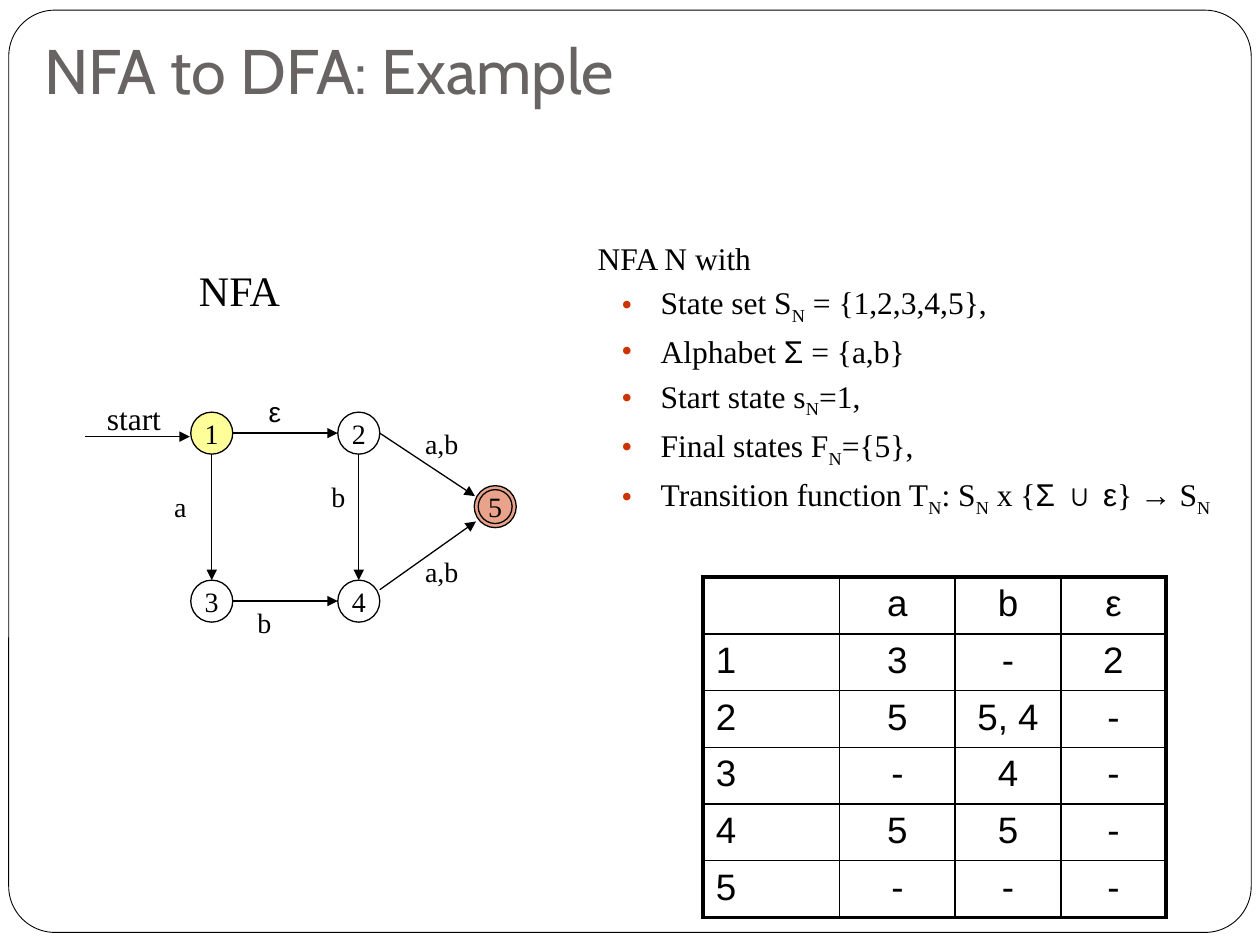
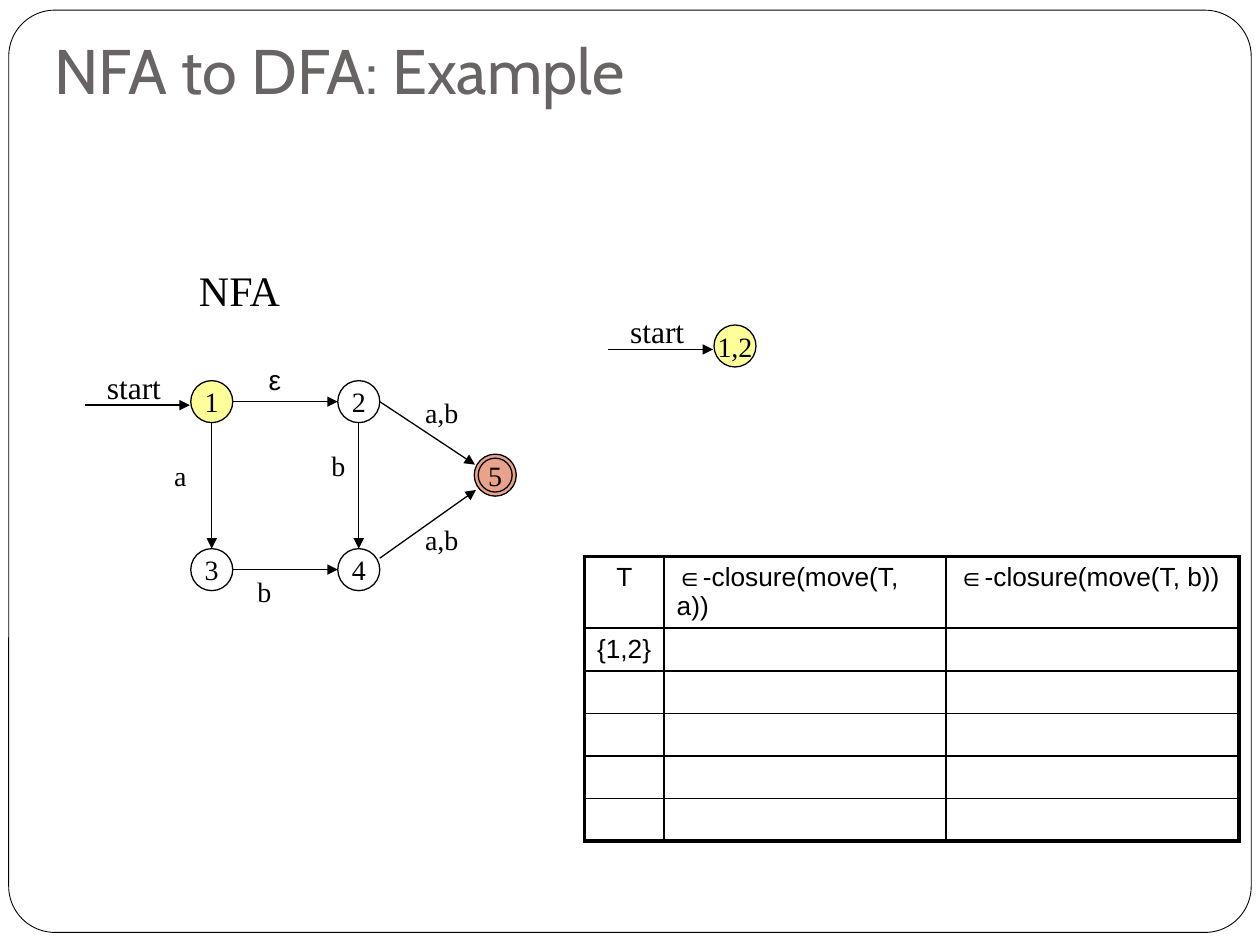
from dataclasses import dataclass

from lxml.etree import SubElement
from pptx import Presentation
from pptx.dml.color import RGBColor
from pptx.enum.shapes import MSO_CONNECTOR, MSO_SHAPE
from pptx.enum.text import MSO_ANCHOR, MSO_AUTO_SIZE, PP_ALIGN
from pptx.oxml.ns import qn
from pptx.util import Pt


@dataclass(frozen=True)
class Theme:
    # Colours
    ink = RGBColor.from_string("000000")
    paper = RGBColor.from_string("FFFFFF")
    title = RGBColor.from_string("696464")
    start = RGBColor.from_string("FFFF99")
    final = RGBColor.from_string("D34817")
    bullet = "CC3300"
    # Fonts and type sizes
    title_font, serif, sans = "Cabin", "Times New Roman", "Arial"
    title_size, heading_size, body_size, label_size = 36, 24, 18, 16
    # Line widths
    frame_line, thin, grid, outer = 0.5, 0.75, 1, 2.25


DIAMETER = 24
RING = 19.4
INSETS = dict(margin_left=Pt(7.2), margin_top=Pt(3.6),
              margin_right=Pt(7.2), margin_bottom=Pt(3.6))


def apply(obj, formats):
    for name, value in formats.items():
        setattr(obj, name, value)


class Deck:
    """Holds the theme, the current slide and the shapes being drawn on."""

    def __init__(self, theme):
        self.theme = theme
        self.prs = Presentation()
        apply(self.prs, dict(slide_width=Pt(720), slide_height=Pt(540)))

    def slide(self, layout, title, title_left):
        self.s = self.prs.slides.add_slide(self.prs.slide_layouts[layout])
        self.shapes = self.s.shapes
        self.frame()
        sp = self.s.shapes.title
        self.place(sp, title_left, 18, 677, 50.4)
        tf = sp.text_frame
        apply(tf, INSETS | dict(margin_bottom=Pt(7.2), word_wrap=True,
                                auto_size=MSO_AUTO_SIZE.NONE,
                                vertical_anchor=MSO_ANCHOR.BOTTOM))
        p = tf.paragraphs[0]
        p.alignment = PP_ALIGN.LEFT
        self.run(p, title, self.theme.title_size, self.theme.title_font, self.theme.title)

    def place(self, sp, x, y, w, h):
        apply(sp, dict(left=Pt(x), top=Pt(y), width=Pt(w), height=Pt(h)))

    def run(self, p, text, size, font=None, color=None):
        r = p.add_run()
        r.text = text
        apply(r.font, dict(size=Pt(size), name=font or self.theme.serif))
        r.font.color.rgb = color or self.theme.ink
        return r

    def shape(self, kind, x, y, w, h, fill=None, line=None):
        sp = self.shapes.add_shape(kind, Pt(x), Pt(y), Pt(w), Pt(h))
        sp.shadow.inherit = False
        if fill is None:
            sp.fill.background()
        else:
            sp.fill.solid()
            sp.fill.fore_color.rgb = fill
        sp.line.color.rgb = self.theme.ink
        sp.line.width = Pt(line or self.theme.thin)
        return sp

    def frame(self):
        sp = self.shape(MSO_SHAPE.ROUNDED_RECTANGLE, 5, 5.8, 710, 527,
                        self.theme.paper, self.theme.frame_line)
        sp.adjustments[0] = 0.05
        sp.element.getparent().insert(2, sp.element)  # behind the placeholders

    def group(self):
        self.shapes = self.s.shapes.add_group_shape().shapes

    def ungroup(self):
        self.shapes = self.s.shapes

    def text(self, text, x, y, w, h, size, font=None, align=PP_ALIGN.LEFT):
        tf = self.shapes.add_textbox(Pt(x), Pt(y), Pt(w), Pt(h)).text_frame
        apply(tf, dict(word_wrap=False, auto_size=MSO_AUTO_SIZE.SHAPE_TO_FIT_TEXT))
        p = tf.paragraphs[0]
        p.alignment = align
        self.run(p, text, size, font)

    def edge_label(self, text, cx, y):
        w = 34 if len(text) > 1 else 22
        font = self.theme.sans if text == "ε" else None
        self.text(text, cx - w / 2, y, w, 26.6, self.theme.label_size, font, PP_ALIGN.CENTER)

    def circle(self, cx, cy, d, fill=None):
        return self.shape(MSO_SHAPE.OVAL, cx - d / 2, cy - d / 2, d, d, fill)

    def state(self, name, cx, cy, fill, final=False):
        sp = self.circle(cx, cy, DIAMETER, fill)
        if final:
            color = sp.element.spPr.find(qn("a:solidFill"))[0]
            SubElement(color, qn("a:alpha"), val="50000")
            self.circle(cx, cy, RING)
        tf = sp.text_frame
        apply(tf, dict(word_wrap=False, vertical_anchor=MSO_ANCHOR.MIDDLE))
        p = tf.paragraphs[0]
        p.alignment = PP_ALIGN.CENTER
        self.run(p, name, self.theme.label_size)

    def arrow(self, x1, y1, x2, y2):
        c = self.shapes.add_connector(MSO_CONNECTOR.STRAIGHT, Pt(x1), Pt(y1), Pt(x2), Pt(y2))
        c.line.color.rgb = self.theme.ink
        c.line.width = Pt(self.theme.thin)
        SubElement(c.line._get_or_add_ln(), qn("a:tailEnd"), type="triangle")
        SubElement(c.element.spPr, qn("a:effectLst"))

    def start_arrow(self, cx, cy):
        self.arrow(cx - 72.5, cy + 2, cx - 12.5, cy + 2)
        self.text("start", cx - 67, cy - 23, 50, 29, self.theme.body_size)

    def bullets(self, heading, items, x, y, w, h):
        sp = self.s.placeholders[1]
        self.place(sp, x, y, w, h)
        tf = sp.text_frame
        apply(tf, INSETS | dict(word_wrap=True, auto_size=MSO_AUTO_SIZE.NONE,
                                vertical_anchor=MSO_ANCHOR.TOP))
        for i, segments in enumerate([(heading,), *items]):
            p = tf.add_paragraph() if i else tf.paragraphs[0]
            apply(p, dict(level=min(i, 1), space_before=Pt(3.6 if i else 0),
                          alignment=PP_ALIGN.LEFT))
            pPr = p._p.get_or_add_pPr()
            pPr.set("marL", str(Pt(40.5 if i else 4.5)))
            pPr.set("indent", str(Pt(-22.5 if i else 0)))
            if i:
                SubElement(SubElement(pPr, qn("a:buClr")), qn("a:srgbClr"), val=self.theme.bullet)
                SubElement(pPr, qn("a:buFont"), typeface=self.theme.serif)
                SubElement(pPr, qn("a:buChar"), char="•")
            else:
                SubElement(pPr, qn("a:buNone"))
            for segment in segments:  # a leading underscore marks a subscript
                font = self.theme.sans if segment[0] in "Σε" else None
                r = self.run(p, segment.removeprefix("_"), self.theme.body_size, font)
                if segment.startswith("_"):
                    r._r.get_or_add_rPr().set("baseline", "-25000")

    def table(self, rows, x, y, widths, heights, size, centred):
        table = self.shapes.add_table(len(rows), len(widths), Pt(x), Pt(y),
                                      Pt(sum(widths)), Pt(sum(heights))).table
        apply(table, dict(first_row=False, horz_banding=False))
        for column, width in zip(table.columns, widths):
            column.width = Pt(width)
        for row, height in zip(table.rows, heights):
            row.height = Pt(height)
        for i, row in enumerate(rows):
            for j, text in enumerate(row):
                cell = table.cell(i, j)
                apply(cell, INSETS)
                edges = dict(L=j == 0, R=j == len(widths) - 1,
                             T=i == 0, B=i == len(rows) - 1)
                self.borders(cell, edges)
                cell.fill.background()
                p = cell.text_frame.paragraphs[0]
                p.alignment = PP_ALIGN.CENTER if centred(i, j) else PP_ALIGN.LEFT
                if text:
                    self.run(p, text, size, self.theme.sans)
                else:
                    SubElement(p._p, qn("a:endParaRPr"), sz="1400")

    def borders(self, cell, edges):
        tcPr = cell._tc.get_or_add_tcPr()
        for side, is_outer in edges.items():
            width = self.theme.outer if is_outer else self.theme.grid
            ln = SubElement(tcPr, qn(f"a:ln{side}"), w=str(Pt(width)))
            SubElement(SubElement(ln, qn("a:solidFill")), qn("a:srgbClr"),
                       val=str(self.theme.ink))


def draw_nfa(deck, y):
    """Draws the automaton with its first row of states centred at height y."""
    t = deck.theme
    deck.text("NFA", 106.6, 147.6, 62.6, 36, t.heading_size)
    deck.group()
    left, middle, right = 121, 205, 283
    bottom, radius = y + 96, DIAMETER / 2

    # States
    for name, cx, cy, fill in [("1", left, y, t.start), ("2", middle, y, t.paper),
                               ("3", left, bottom, t.paper), ("4", middle, bottom, t.paper),
                               ("5", right, y + 42, t.final)]:
        deck.state(name, cx, cy, fill, final=name == "5")

    # Transitions
    for cy in (y, bottom):
        deck.arrow(left + radius, cy, middle - radius, cy)
    for cx in (left, middle):
        deck.arrow(cx, y + radius, cx, bottom - radius)
    deck.arrow(middle + radius, y, 271.4, y + 36)
    deck.arrow(middle + radius, y + 89.5, 272, y + 50.5)
    for text, cx, dy in [("ε", 157, -25.7), ("b", 151, 95.2), ("a", 103, 29),
                         ("b", 193.3, 23.2), ("a,b", 252.4, -7), ("a,b", 252.4, 65.7)]:
        deck.edge_label(text, cx, y + dy)
    deck.start_arrow(left, y)
    deck.ungroup()


def main():
    deck = Deck(Theme())
    title = "NFA to DFA: Example"

    # Slide 1: the automaton and its transition table
    deck.slide(1, title, 18)
    deck.bullets("NFA N with", [
        ("State set S", "_N", " = {1,2,3,4,5},"),
        ("Alphabet ", "Σ", " = {a,b}"),
        ("Start state s", "_N", "=1,"),
        ("Final states F", "_N", "={5},"),
        ("Transition function T", "_N", ": S", "_N", " x {", "Σ ", "∪ ", "ε", "} → S", "_N"),
    ], 329.8, 133, 386, 181)
    transitions = [["", "a", "b", "ε"],
                   ["1", "3", "-", "2"],
                   ["2", "5", "5, 4", "-"],
                   ["3", "-", "4", "-"],
                   ["4", "5", "5", "-"],
                   ["5", "-", "-", "-"]]
    deck.table(transitions, 401.8, 329.8, [78, 66, 60.5, 60], [32.4] * 6, 21,
               centred=lambda i, j: j > 0)
    draw_nfa(deck, 247.5)

    # Slide 2: the first subset state and the closure table
    deck.slide(5, title, 24)
    closures = [["T", "∈-closure(move(T, a))", "∈-closure(move(T, b))"],
                ["{1,2}", "", ""]] + [[""] * 3] * 4
    deck.table(closures, 334, 318, [45.5, 161, 167.5], [41, 24.6] + [24] * 4, 15,
               centred=lambda i, j: i == j == 0)
    draw_nfa(deck, 229.5)
    deck.state("1,2", 420, 197.7, deck.theme.start)
    deck.group()
    deck.start_arrow(420, 197.7)

    deck.prs.save("out.pptx")


if __name__ == "__main__":
    main()
